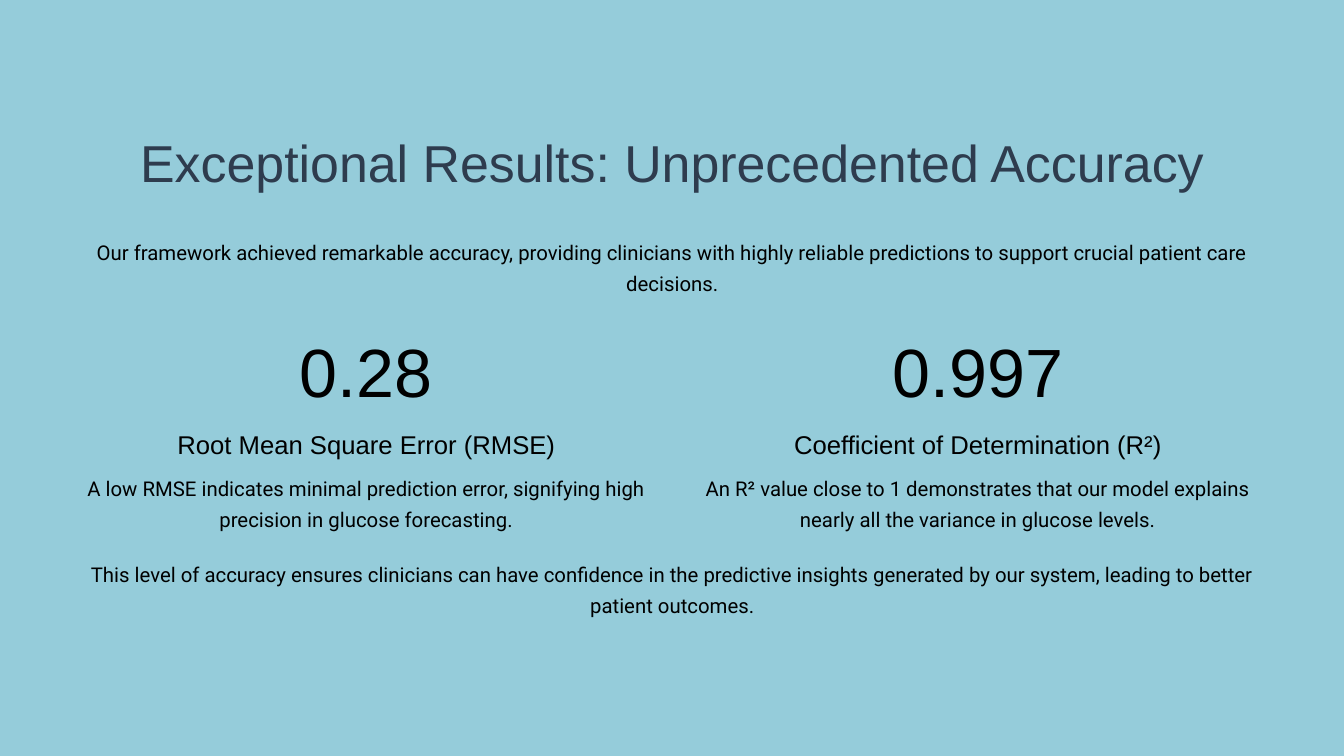
from pptx import Presentation
from pptx.dml.color import RGBColor
from pptx.enum.shapes import MSO_SHAPE
from pptx.enum.text import MSO_ANCHOR, MSO_AUTO_SIZE, PP_ALIGN
from pptx.util import Inches, Pt

RECT = MSO_SHAPE.RECTANGLE
CENTER = PP_ALIGN.CENTER
TOP = MSO_ANCHOR.TOP
GROW = MSO_AUTO_SIZE.SHAPE_TO_FIT_TEXT

COLORS = {"back": "95CCDA", "title": "2E3C4E", "text": "000000"}

# Font name, size, line pitch and colour of each kind of text
STYLES = {
    "title": ("Arial", 55.6, 69.4, "title"),
    "body": ("Roboto", 21.8, 33.1, "text"),
    "value": ("Arial", 73.1, 73.1, "text"),
    "label": ("Arial", 27.5, 34.4, "text"),
}
FRAME = {
    "margin_left": 0, "margin_top": 0, "margin_right": 0, "margin_bottom": 0,
    "word_wrap": True, "vertical_anchor": TOP, "auto_size": GROW,
}

# Slide size, page margin, full text width, column width and column pitch
WIDE, HIGH = 20, 11.25
LEFT, FULL, COL, STEP = 1.09, 17.83, 8.72, 9.1

INTRO = ("Our framework achieved remarkable accuracy, providing clinicians with "
         "highly reliable predictions to support crucial patient care decisions.")
CLOSE = ("This level of accuracy ensures clinicians can have confidence in the "
         "predictive insights generated by our system, leading to better patient "
         "outcomes.")
# Value, label, label width, note
METRICS = [
    ("0.28", "Root Mean Square Error (RMSE)", 5.69,
     "A low RMSE indicates minimal prediction error, signifying high precision "
     "in glucose forecasting."),
    ("0.997", "Coefficient of Determination (R²)", 5.79,
     "An R² value close to 1 demonstrates that our model explains nearly all "
     "the variance in glucose levels."),
]


def color(name):
    return RGBColor.from_string(COLORS[name])


def set_all(item, values):
    for key, value in values.items():
        setattr(item, key, value)


def fill_text(shape, text, style):
    name, size, pitch, tone = STYLES[style]
    frame = shape.text_frame
    set_all(frame, FRAME)
    para = frame.paragraphs[0]
    set_all(para, {"alignment": CENTER, "line_spacing": Pt(pitch)})
    run = para.add_run()
    run.text = text
    set_all(run.font, {"name": name, "size": Pt(size), "bold": False})
    run.font.color.rgb = color(tone)


def add_panel(slide):
    panel = slide.shapes.add_shape(RECT, 0, 0, Inches(WIDE), Inches(HIGH))
    panel.shadow.inherit = False
    panel.fill.solid()
    panel.fill.fore_color.rgb = color("back")
    panel.line.fill.background()
    # Send it behind the title
    slide.shapes.title.element.addprevious(panel.element)


def add_title(slide, text, left, top, width, height):
    title = slide.shapes.title
    set_all(title, {"left": Inches(left), "top": Inches(top),
                    "width": Inches(width), "height": Inches(height)})
    fill_text(title, text, "title")


def add_text(slide, text, style, left, top, width, height):
    box = slide.shapes.add_textbox(
        Inches(left), Inches(top), Inches(width), Inches(height))
    fill_text(box, text, style)


def add_metric(slide, left, value, label, wide, note):
    add_text(slide, value, "value", left, 5.11, COL, 0.91)
    add_text(slide, label, "label", left + (COL - wide) / 2, 6.36, wide, 0.53)
    add_text(slide, note, "body", left, 6.99, COL, 1.01)


def main():
    deck = Presentation()
    set_all(deck, {"slide_width": Inches(WIDE), "slide_height": Inches(HIGH)})
    slide = deck.slides.add_slide(deck.slide_layouts.get_by_name("Title Only"))

    # Background, title and introduction
    add_panel(slide)
    add_title(slide, "Exceptional Results: Unprecedented Accuracy",
              1.9, 1.91, 16.2, 1.03)
    add_text(slide, INTRO, "body", LEFT, 3.48, FULL, 1.01)

    # Metric columns
    for num, metric in enumerate(METRICS):
        add_metric(slide, LEFT + num * STEP, *metric)

    # Closing statement
    add_text(slide, CLOSE, "body", LEFT, 8.27, FULL, 1.01)

    deck.save("out.pptx")


if __name__ == "__main__":
    main()
